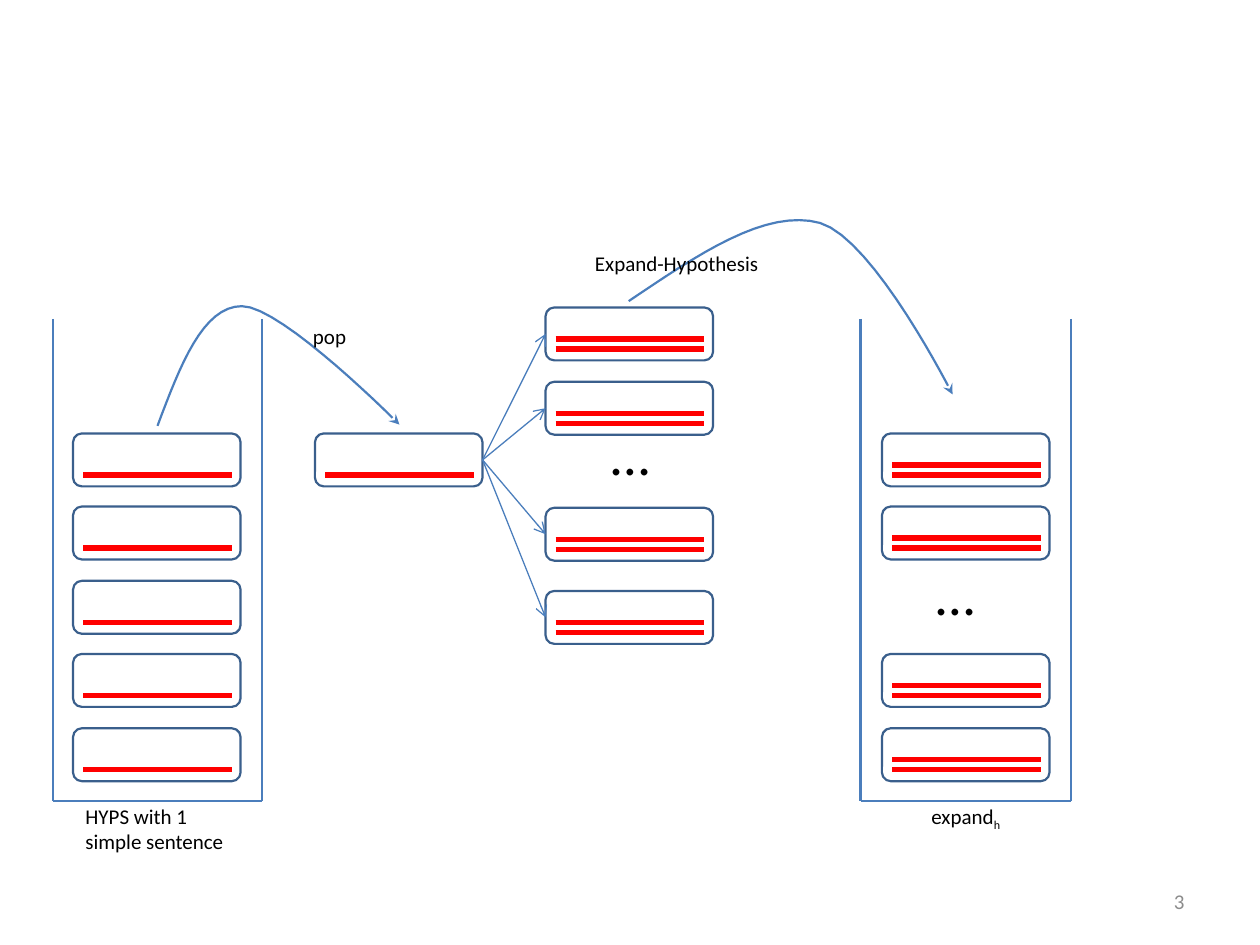
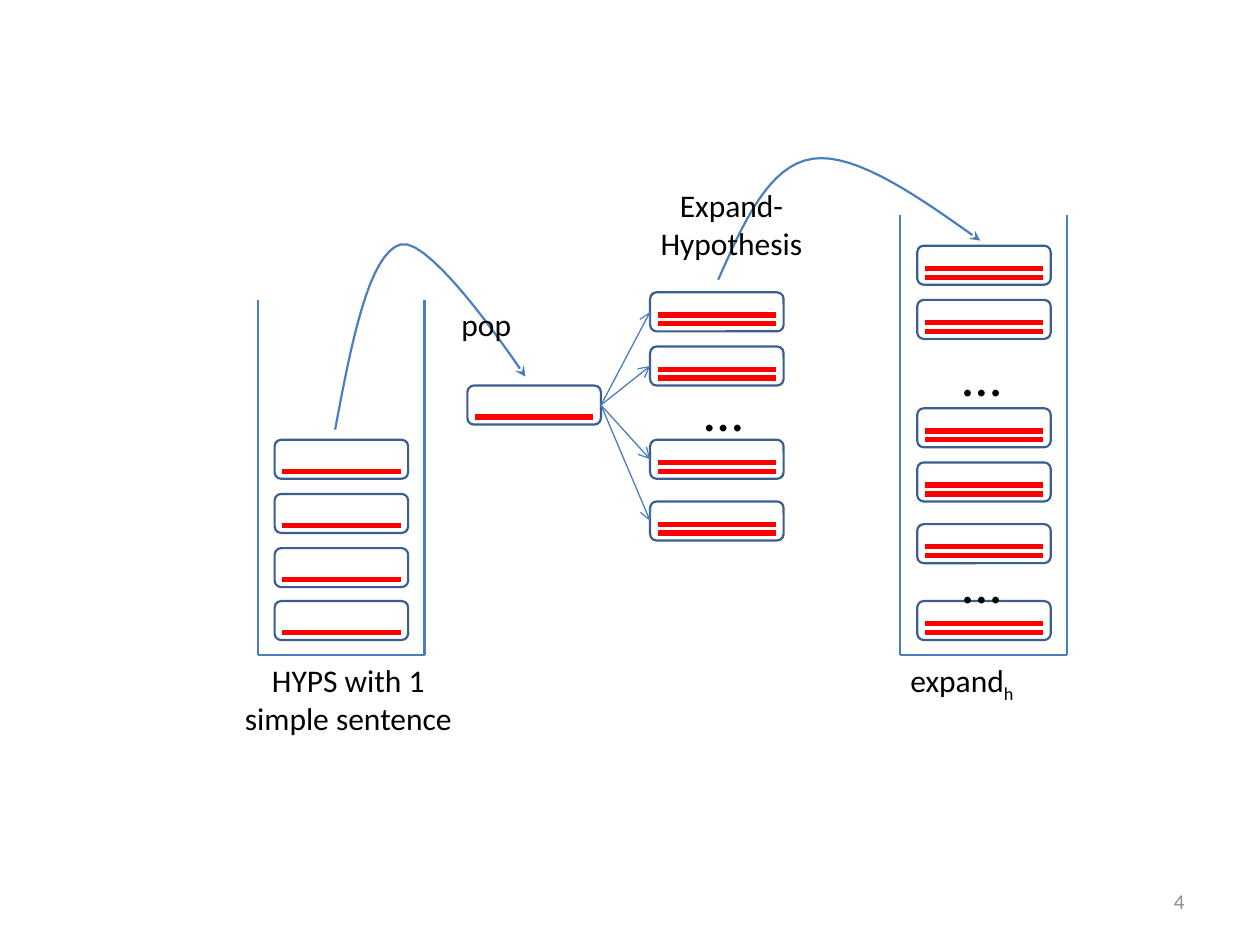
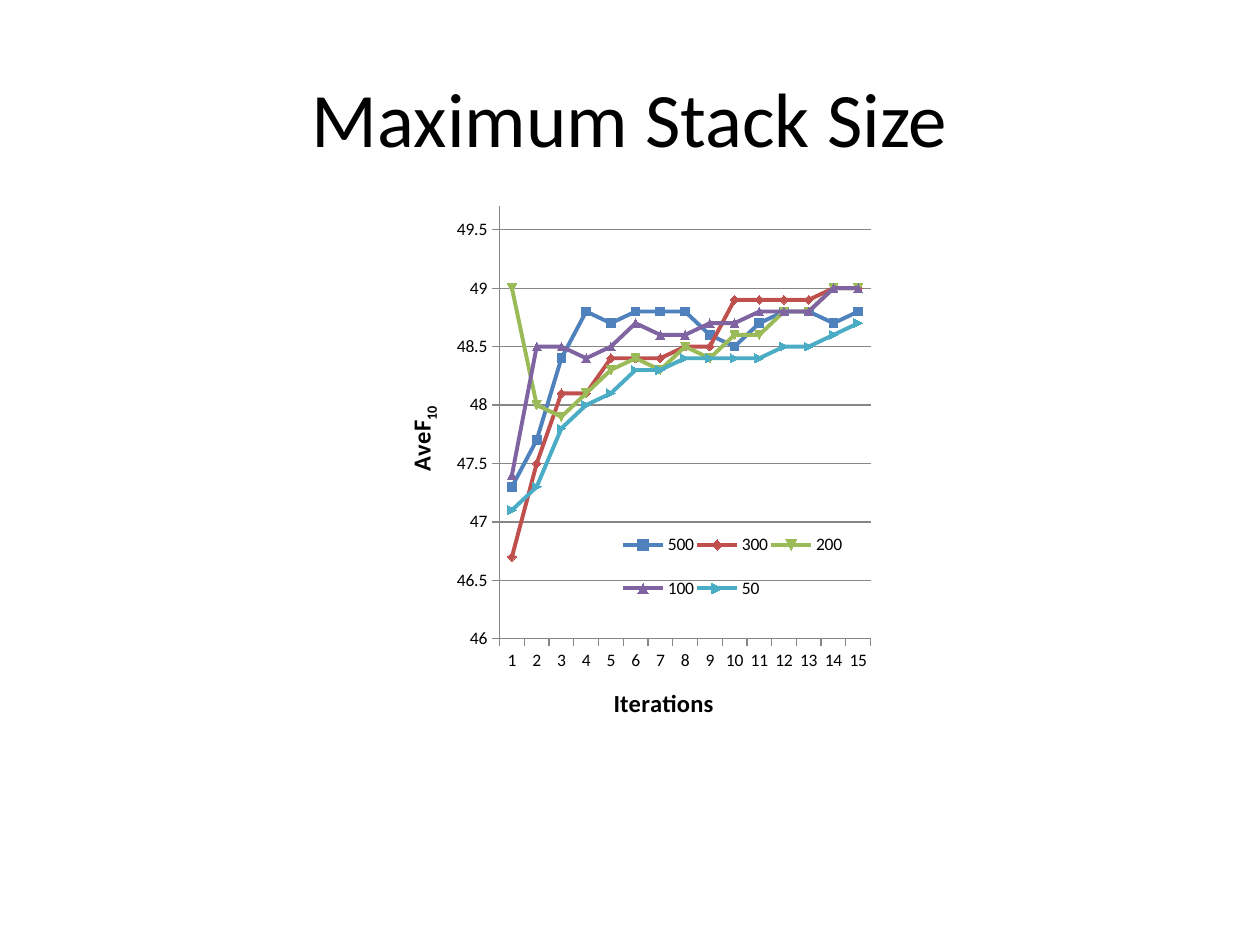
"""Build two stack decoding diagrams and a chart of maximum stack sizes."""
from lxml import etree
from pptx import Presentation
from pptx.chart.data import CategoryChartData
from pptx.dml.color import RGBColor
from pptx.enum.chart import XL_CHART_TYPE, XL_LEGEND_POSITION, XL_TICK_MARK
from pptx.enum.shapes import MSO_CONNECTOR, MSO_SHAPE
from pptx.enum.text import MSO_ANCHOR, PP_ALIGN
from pptx.oxml.ns import qn
from pptx.util import Pt

PX = 9144
FONT = "Calibri"
LEFT, MID, RIGHT = PP_ALIGN.LEFT, PP_ALIGN.CENTER, PP_ALIGN.RIGHT
TOP, CENTER = MSO_ANCHOR.TOP, MSO_ANCHOR.MIDDLE
ROUND, STRAIGHT = MSO_SHAPE.ROUNDED_RECTANGLE, MSO_CONNECTOR.STRAIGHT
MARKED, OUT = XL_CHART_TYPE.LINE_MARKERS, XL_TICK_MARK.OUTSIDE
LEGEND = XL_LEGEND_POSITION.RIGHT
HEX = {"text": "000000", "card": "FFFFFF", "edge": "3A5F8C", "line": "4B7EBC",
       "bar": "FF0000", "note": "8C8C8C", "grid": "868686"}


def rows(top, pitch, slots):
    return [round(top + pitch * slot) for slot in slots]


DIAGRAMS = [
    {"number": "3", "card": (133, 42), "bar": (8, 118, (33, 25)), "size": 12,
     "stacks": [(42, 208, 253, 636), (683, 850, 253, 636)],
     "hyps": (58, rows(344, 58.4, range(5))),
     "pop": (250, 344),
     "next": (433, [244, 303, 403, 469]),
     "out": (700, rows(344, 58.4, (0, 1, 3, 4))),
     "dots": [(475, 328, 92, 64), (733, 439, 92, 64)],
     "arcs": [[(125, 338), (143, 290), (161, 243), (192, 243),
               (224, 243), (317, 337), (317, 337)],
              [(499, 239), (554, 202), (608, 165), (651, 177),
               (694, 190), (756, 313), (756, 313)]],
     "labels": [("pop", (222, 252, 79, 30), MID),
                ("Expand-Hypothesis", (458, 194, 158, 30), MID),
                ("HYPS with 1 simple sentence", (58, 633, 133, 50), LEFT)],
     "expand": (700, 633, 133, 30)},
    {"number": "4", "card": (106, 31), "bar": (6, 94, (25, 18)), "size": 18,
     "stacks": [(205, 337, 238, 520), (714, 847, 171, 520)],
     "hyps": (218, rows(349, 42.8, range(4))),
     "pop": (371, 306),
     "next": (516, [232, 275, 349, 398]),
     "out": (728, [195, 238, 324, 367, 416, 477]),
     "dots": [(549, 293, 73, 47), (754, 430, 73, 47), (754, 265, 73, 47)],
     "arcs": [[(266, 341), (279, 271), (293, 201), (318, 194),
               (343, 187), (417, 299), (417, 299)],
              [(570, 222), (590, 177), (610, 131), (645, 126),
               (679, 121), (729, 156), (778, 191)]],
     "labels": [("pop", (348, 237, 76, 40), MID),
                ("Expand-Hypothesis", (488, 143, 185, 71), MID),
                ("HYPS with 1 simple sentence", (183, 520, 187, 71), MID)],
     "expand": (680, 520, 167, 40)},
]
SERIES = [
    ("500", "4F81BD", (47.3, 47.7, 48.4, 48.8, 48.7, 48.8, 48.8, 48.8, 48.6,
                       48.5, 48.7, 48.8, 48.8, 48.7, 48.8)),
    ("300", "C0504D", (46.7, 47.5, 48.1, 48.1, 48.4, 48.4, 48.4, 48.5, 48.5,
                       48.9, 48.9, 48.9, 48.9, 49, 49)),
    ("200", "9BBB59", (49, 48, 47.9, 48.1, 48.3, 48.4, 48.3, 48.5, 48.4,
                       48.6, 48.6, 48.8, 48.8, 49, 49)),
    ("100", "8064A2", (47.4, 48.5, 48.5, 48.4, 48.5, 48.7, 48.6, 48.6, 48.7,
                       48.7, 48.8, 48.8, 48.8, 49, 49)),
    ("50", "4BACC6", (47.1, 47.3, 47.8, 48, 48.1, 48.3, 48.3, 48.4, 48.4,
                      48.4, 48.4, 48.5, 48.5, 48.6, 48.7)),
]


def emu(vals):
    return [round(val * PX) for val in vals]


def paint(line, color, width):
    line.color.rgb = RGBColor.from_string(color)
    line.width = Pt(width)


def style(font, size, color=HEX["text"], bold=False):
    font.name, font.size, font.bold = FONT, Pt(size), bold
    font.color.rgb = RGBColor.from_string(color)


def lower(run):
    run._r.get_or_add_rPr().set("baseline", "-25000")


def write(slide, text, box, size, align=MID, anchor=TOP, color=HEX["text"], sub=""):
    frame = slide.shapes.add_textbox(*emu(box)).text_frame
    frame.word_wrap, frame.vertical_anchor = True, anchor
    frame.text = text
    para = frame.paragraphs[0]
    para.alignment = align
    if sub:
        tail = para.add_run()
        tail.text = sub
        lower(tail)
    for run in para.runs:
        style(run.font, size, color)


def tip(shape, kind):
    line = shape.line._get_or_add_ln()
    etree.SubElement(line, qn("a:tailEnd"), type=kind)


def rule(slide, start, end, color=HEX["line"], width=1.25):
    line = slide.shapes.add_connector(STRAIGHT, *emu(start + end))
    paint(line.line, color, width)
    etree.SubElement(line._element.spPr, qn("a:effectLst"))
    return line


def card(slide, x, y, plan, bars):
    box = slide.shapes.add_shape(ROUND, *emu((x, y) + plan["card"]))
    box.shadow.inherit = False
    box.fill.solid()
    box.fill.fore_color.rgb = RGBColor.from_string(HEX["card"])
    paint(box.line, HEX["edge"], 1.25)
    inset, length, drops = plan["bar"]
    for drop in drops[:bars]:
        rule(slide, (x + inset, y + drop), (x + inset + length, y + drop), HEX["bar"], 3)
    return box


def column(slide, plan, name, bars):
    x, tops = plan[name]
    return [card(slide, x, y, plan, bars) for y in tops]


def bend(ends, t):
    weights = ((1 - t) ** 3, 3 * t * (1 - t) ** 2, 3 * t * t * (1 - t), t ** 3)
    return [sum(w * p[axis] for w, p in zip(weights, ends)) for axis in (0, 1)]


def arc(slide, knots, steps=16):
    points = [emu(bend(knots[i:i + 4], step / steps))
              for i in (0, 3) for step in range(1, steps + 1)]
    path = slide.shapes.build_freeform(*emu(knots[0]))
    path.add_line_segments(points, close=False)
    curve = path.convert_to_shape()
    curve.shadow.inherit = False
    curve.fill.background()
    paint(curve.line, HEX["line"], 1.25)
    tip(curve, "stealth")


def diagram(slide, plan):
    for left, right, top, base in plan["stacks"]:
        for start, end in (((left, top), (left, base)), ((right, top), (right, base)),
                           ((right, base), (left, base))):
            rule(slide, start, end)
    column(slide, plan, "hyps", 1)
    column(slide, plan, "out", 2)
    source = card(slide, *plan["pop"], plan, 1)
    for target in column(slide, plan, "next", 2):
        arrow = rule(slide, (0, 0), (1, 1), width=0.75)
        arrow.begin_connect(source, 3)
        arrow.end_connect(target, 1)
        tip(arrow, "arrow")
    for knots in plan["arcs"]:
        arc(slide, knots)
    for box in plan["dots"]:
        write(slide, "…", box, 32, LEFT)
    for text, box, align in plan["labels"]:
        write(slide, text, box, plan["size"], align)
    write(slide, "expand", plan["expand"], plan["size"], sub="h")
    write(slide, plan["number"], (717, 695, 233, 40), 12, RIGHT, CENTER, HEX["note"])


def place(part, index, inner, **sizes):
    for old in part.findall(qn("c:layout")):
        part.remove(old)
    layout = etree.Element(qn("c:layout"))
    manual = etree.SubElement(layout, qn("c:manualLayout"))
    if inner:
        etree.SubElement(manual, qn("c:layoutTarget"), val="inner")
    for key in ("xMode", "yMode"):
        etree.SubElement(manual, qn("c:" + key), val="edge")
    for key, size in sizes.items():
        etree.SubElement(manual, qn("c:" + key), val=str(size))
    part.insert(index, layout)


def label(axis, text, sub=""):
    frame = axis.axis_title.text_frame
    frame.text = text
    para = frame.paragraphs[0]
    if sub:
        tail = para.add_run()
        tail.text = sub
        lower(tail)
    for run in para.runs:
        style(run.font, 14, bold=True)
    return frame


def graph(slide):
    data = CategoryChartData()
    data.categories = [str(n) for n in range(1, 16)]
    for name, _, vals in SERIES:
        data.add_series(name, vals)
    chart = slide.shapes.add_chart(MARKED, *emu((301, 155, 398, 440)), data).chart
    style(chart.font, 10)
    chart.has_title = False
    plot = chart.plots[0]
    plot.vary_by_categories = False
    for line, (_, color, _) in zip(plot.series, SERIES):
        line.smooth = False
        paint(line.format.line, color, 2.25)
    across, up = chart.category_axis, chart.value_axis
    label(across, "Iterations")
    body = label(up, "AveF", "10")._txBody.bodyPr
    body.set("rot", "-5400000")
    body.set("vert", "horz")
    up.minimum_scale, up.maximum_scale, up.major_unit = 46, 49.7, 0.5
    up.has_major_gridlines = True
    paint(up.major_gridlines.format.line, HEX["grid"], 0.75)
    for axis in (across, up):
        axis.major_tick_mark = OUT
        paint(axis.format.line, HEX["grid"], 0.75)
    chart.has_legend = True
    legend = chart.legend
    legend.position, legend.include_in_layout = LEGEND, True
    place(legend._element, 1, False, x=0.48, y=0.57, w=0.45, h=0.2)
    area = chart._chartSpace.find(".//" + qn("c:plotArea"))
    place(area, 0, True, x=0.24, y=0.02, w=0.74, h=0.78)


def main():
    deck = Presentation()
    deck.slide_width, deck.slide_height = emu((1000, 750))
    blank = deck.slide_layouts[6]
    for plan in DIAGRAMS:
        diagram(deck.slides.add_slide(blank), plan)
    slide = deck.slides.add_slide(blank)
    graph(slide)
    write(slide, "Maximum Stack Size", (50, 30, 900, 125), 44, MID, CENTER)
    deck.save("out.pptx")


if __name__ == "__main__":
    main()
